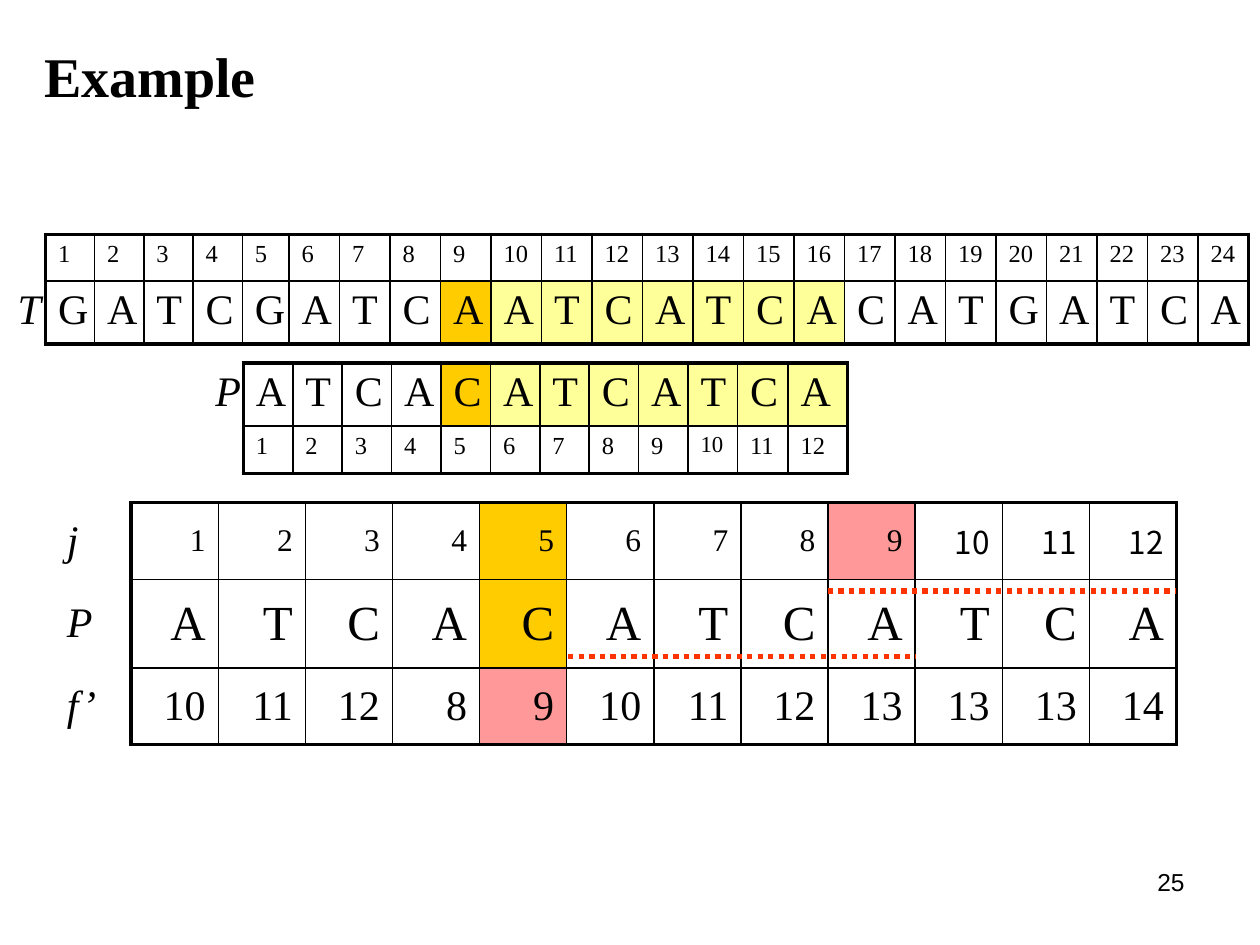
import pptx
import pptx.dml.color
import pptx.enum.dml
import pptx.enum.shapes
import pptx.enum.text
import pptx.oxml
import pptx.oxml.ns
import pptx.util

Inches = pptx.util.Inches
Pt = pptx.util.Pt
RGBColor = pptx.dml.color.RGBColor
ALIGN = pptx.enum.text.PP_ALIGN
ANCHOR = pptx.enum.text.MSO_ANCHOR

BLACK = RGBColor(0x00, 0x00, 0x00)
GOLD = RGBColor(0xFF, 0xCC, 0x00)
CREAM = RGBColor(0xFF, 0xFF, 0x99)
PINK = RGBColor(0xFF, 0x99, 0x99)
RED = RGBColor(0xFF, 0x33, 0x00)
SERIF = "Times New Roman"
SANS = "Arial"
CJK = "Noto Sans CJK TC"
THIN, THICK = 1, 2.25


def style(para, size, face=SERIF, bold=False, slant=False):
    for run in para.runs:
        font = run.font
        font.size, font.name = Pt(size), face
        font.bold, font.italic = bold, slant
        font.color.rgb = BLACK


def edge(cell, sides):
    props = cell._tc.get_or_add_tcPr()
    for spot, (side, width) in enumerate(sides.items()):
        if width:
            paint = f'<a:solidFill><a:srgbClr val="{BLACK}"/></a:solidFill>'
        else:
            paint = "<a:noFill/>"
        line = pptx.oxml.parse_xml(
            f'<a:ln{side} {pptx.oxml.ns.nsdecls("a")} w="{Pt(width)}">{paint}</a:ln{side}>')
        props.insert(spot, line)


def frame(cell, row, col, rows, cols):
    if col == 0:
        edge(cell, {"L": 0, "R": THICK, "T": 0, "B": 0})
        return
    edge(cell, {
        "L": THICK if col == 1 else THIN,
        "R": THICK if col == cols - 1 else THIN,
        "T": THICK if row == 0 else THIN,
        "B": THICK if row == rows - 1 else THIN,
    })


def add_grid(slide, box, lines, sizes, widths, heights, fills, right=False):
    left, top, width, height = box
    rows, cols = len(lines), len(widths)
    table = slide.shapes.add_table(
        rows, cols, Inches(left), Inches(top), Inches(width), Inches(height)).table
    table.first_row = table.horz_banding = False
    for col, share in enumerate(widths):
        table.columns[col].width = Inches(width * share / sum(widths))
    for row, line in enumerate(lines):
        table.rows[row].height = Inches(heights[row])
        for col, text in enumerate(line):
            cell = table.cell(row, col)
            label = col == 0
            cell.text_frame.text = text
            para = cell.text_frame.paragraphs[0]
            para.alignment = ALIGN.RIGHT if right and not label else ALIGN.LEFT
            style(para, 24 if label else sizes[row], slant=label)
            cell.vertical_anchor = ANCHOR.MIDDLE if right else ANCHOR.TOP
            if not right:
                cell.margin_right = 0
            if not text:
                cell.margin_top = cell.margin_bottom = 0
            frame(cell, row, col, rows, cols)
            if (row, col) in fills:
                cell.fill.solid()
                cell.fill.fore_color.rgb = fills[row, col]
            else:
                cell.fill.background()
    return table


def count(last):
    return [str(num) for num in range(1, last + 1)]


def add_text(slide, box):
    fills = {(1, col): CREAM for col in range(10, 17)}
    fills[1, 9] = GOLD
    add_grid(slide, box,
             [["", *count(24)], ["T", *"GATCGATCAATCATCACATGATCA"]],
             [14, 24], [0.32] + [0.39] * 4 + [0.37] + [0.4] * 19,
             [0.37, 0.5], fills)


def add_match(slide, box):
    fills = {(0, col): CREAM for col in range(6, 13)}
    fills[0, 5] = GOLD
    table = add_grid(slide, box,
                     [["P", *"ATCACATCATCA"], ["", *count(12)]],
                     [24, 14], [0.32] + [0.39] * 10 + [0.4, 0.47],
                     [0.5, 0.38], fills)
    style(table.cell(1, 10).text_frame.paragraphs[0], 13)


def add_shift(slide, box):
    shifts = "10 11 12 8 9 10 11 12 13 13 13 14".split()
    table = add_grid(slide, box,
                     [["j", *count(12)], ["P", *"ATCACATCATCA"], ["f’", *shifts]],
                     [18, 28, 24], [0.61] + [0.69] * 12, [0.61, 0.7, 0.61],
                     {(0, 5): GOLD, (1, 5): GOLD, (0, 9): PINK, (2, 5): PINK},
                     right=True)
    for col in range(10, 13):
        style(table.cell(0, col).text_frame.paragraphs[0], 18, CJK)
    left, top = box[:2]
    for across, down in ((6.14, 0.7), (4.08, 1.22)):
        add_dots(slide, left + across, top + down, 2.76)


def add_dots(slide, left, top, width):
    line = slide.shapes.add_connector(
        pptx.enum.shapes.MSO_CONNECTOR.STRAIGHT,
        Inches(left), Inches(top), Inches(left + width), Inches(top))
    line.line.color.rgb = RED
    line.line.width = Pt(3)
    line.line.dash_style = pptx.enum.dml.MSO_LINE.ROUND_DOT
    line._element.spPr.append(pptx.oxml.parse_xml(
        f'<a:effectLst {pptx.oxml.ns.nsdecls("a")}/>'))


def add_title(slide, box):
    title = slide.shapes.title
    title.left, title.top, title.width, title.height = map(Inches, box)
    body = title.text_frame
    body.text = "Example"
    body.word_wrap = False
    body.auto_size = pptx.enum.text.MSO_AUTO_SIZE.NONE
    body.vertical_anchor = ANCHOR.TOP
    body.margin_right = 0
    body.paragraphs[0].alignment = ALIGN.LEFT
    style(body.paragraphs[0], 32, bold=True)


def add_page(slide, box):
    body = slide.shapes.add_textbox(*map(Inches, box)).text_frame
    body.word_wrap = True
    body.text = "25"
    body.paragraphs[0].alignment = ALIGN.RIGHT
    style(body.paragraphs[0], 14, SANS)


def main():
    deck = pptx.Presentation()
    deck.slide_width, deck.slide_height = Inches(10), Inches(7.5)
    slide = deck.slides.add_slide(deck.slide_layouts[5])
    add_page(slide, (7.17, 6.83, 2.33, 0.52))
    add_shift(slide, (0.43, 3.99, 8.91, 1.93))
    add_text(slide, (0.04, 1.86, 9.87, 0.87))
    add_match(slide, (1.61, 2.88, 5.12, 0.88))
    add_title(slide, (0.25, 0.28, 1.95, 0.63))
    deck.save("out.pptx")


if __name__ == "__main__":
    main()
